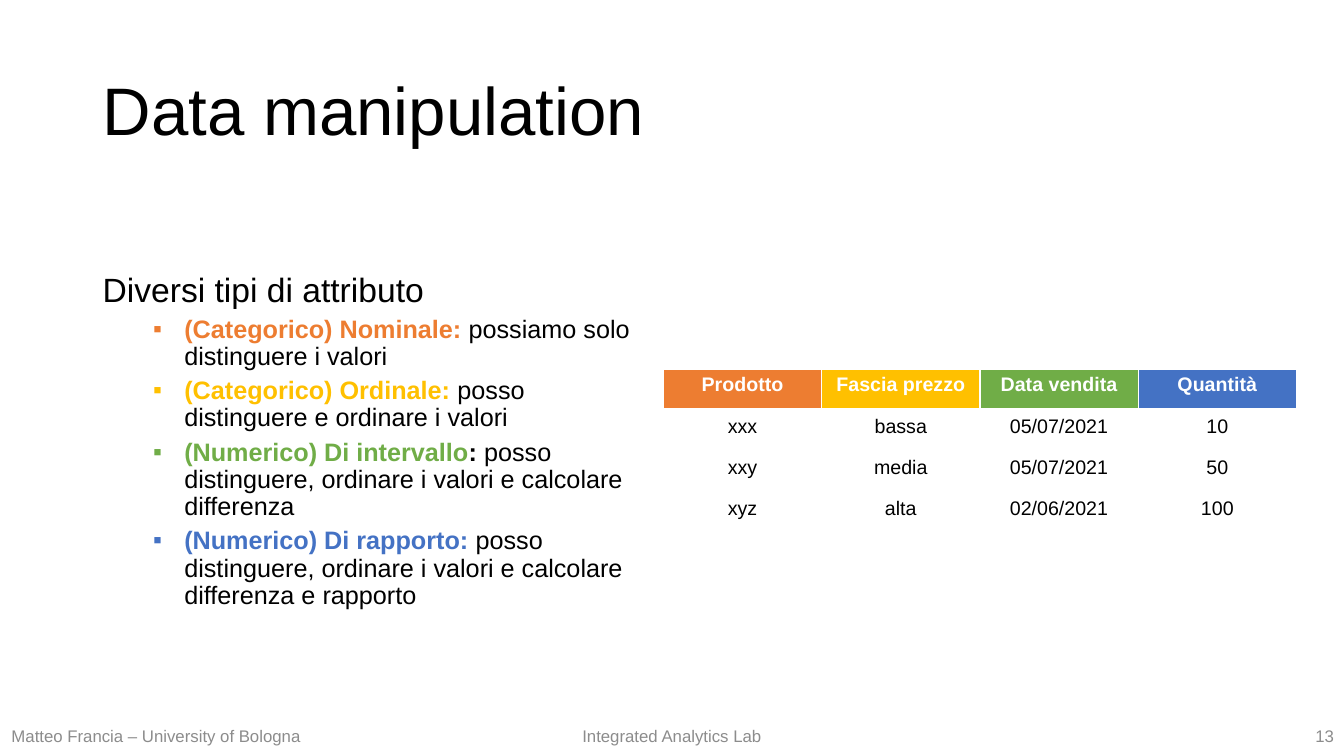
from dataclasses import dataclass

from lxml import etree
from pptx import Presentation
from pptx.dml.color import RGBColor
from pptx.enum.text import MSO_ANCHOR, PP_ALIGN
from pptx.oxml.ns import qn
from pptx.util import Inches, Pt

LEFT, CENTER, RIGHT = PP_ALIGN.LEFT, PP_ALIGN.CENTER, PP_ALIGN.RIGHT
MIDDLE = MSO_ANCHOR.MIDDLE


@dataclass(frozen=True)
class Theme:
    font: str = "Arial"
    text: str = "000000"
    footer: str = "8C8C8C"
    white: str = "FFFFFF"
    nominal: str = "ED7D31"
    ordinal: str = "FFC000"
    interval: str = "70AD47"
    ratio: str = "4472C4"
    title_size: int = 48
    lead_size: int = 24
    bullet_size: int = 18
    table_size: int = 14
    footer_size: int = 12


THEME = Theme()

TITLE = "Data manipulation"
LEAD = "Diversi tipi di attributo"
# Colour, then runs of (text, bold, colour)
ATTRIBUTE_TYPES = [
    (THEME.nominal, [
        ("(Categorico) Nominale: ", True, THEME.nominal),
        ("possiamo solo distinguere i valori", False, THEME.text)]),
    (THEME.ordinal, [
        ("(Categorico) Ordinale: ", True, THEME.ordinal),
        ("posso distinguere e ordinare i valori", False, THEME.text)]),
    (THEME.interval, [
        ("(Numerico) Di intervallo", True, THEME.interval),
        (": ", True, THEME.text),
        ("posso distinguere, ordinare i valori e calcolare differenza", False, THEME.text)]),
    (THEME.ratio, [
        ("(Numerico) Di rapporto: ", True, THEME.ratio),
        ("posso distinguere, ordinare i valori e calcolare differenza e rapporto",
         False, THEME.text)]),
]
SALES = [
    ("Prodotto", "Fascia prezzo", "Data vendita", "Quantità"),
    ("xxx", "bassa", "05/07/2021", "10"),
    ("xxy", "media", "05/07/2021", "50"),
    ("xyz", "alta", "02/06/2021", "100"),
]
# Text, left, width, alignment
FOOTERS = [
    ("Matteo Francia – University of Bologna", 0, 3.1, CENTER),
    ("Integrated Analytics Lab", 5.23, 2.87, CENTER),
    ("13", 10.33, 3, RIGHT),
]
COLUMN_WIDTH, ROW_HEIGHT = 1.57, 0.41


def add_frame(slide, left, top, width, height):
    box = slide.shapes.add_textbox(
        Inches(left), Inches(top), Inches(width), Inches(height))
    frame = box.text_frame
    frame.word_wrap = True
    frame.vertical_anchor = MIDDLE
    return frame


def style(paragraph, size, color=THEME.text, align=LEFT, bold=False):
    paragraph.alignment = align
    paragraph.font.name = THEME.font
    paragraph.font.size = Pt(size)
    paragraph.font.bold = bold
    paragraph.font.color.rgb = RGBColor.from_string(color)


def add_bullet(paragraph, color):
    """Give the paragraph a coloured square bullet with a hanging indent."""
    props = paragraph._p.get_or_add_pPr()
    props.set("lvl", "1")
    props.set("marL", str(Inches(0.81)))
    props.set("indent", str(Inches(-0.31)))
    bullet_color = etree.SubElement(props, qn("a:buClr"))
    etree.SubElement(bullet_color, qn("a:srgbClr"), val=color)
    etree.SubElement(props, qn("a:buFont"), typeface=THEME.font)
    etree.SubElement(props, qn("a:buChar"), char="▪")


def add_borders(cell):
    """Draw white edges, with a heavier one below."""
    props = cell._tc.get_or_add_tcPr()
    edges = [("lnL", 1), ("lnR", 1), ("lnT", 1), ("lnB", 3)]
    for position, (edge, width) in enumerate(edges):
        line = etree.Element(qn(f"a:{edge}"), w=str(Pt(width)))
        fill = etree.SubElement(line, qn("a:solidFill"))
        etree.SubElement(fill, qn("a:srgbClr"), val=THEME.white)
        props.insert(position, line)


def add_attribute_list(slide):
    frame = add_frame(slide, 0.92, 2, 5.67, 4.76)
    lead = frame.paragraphs[0]
    lead.text = LEAD
    lead.line_spacing = 0.9
    lead.space_before = Pt(10)
    style(lead, THEME.lead_size)
    for color, runs in ATTRIBUTE_TYPES:
        item = frame.add_paragraph()
        item.line_spacing = 0.9
        item.space_before = Pt(5)
        add_bullet(item, color)
        style(item, THEME.bullet_size)
        for text, bold, run_color in runs:
            run = item.add_run()
            run.text = text
            run.font.bold = bold
            run.font.color.rgb = RGBColor.from_string(run_color)


def add_sales_table(slide):
    rows, columns = len(SALES), len(SALES[0])
    table = slide.shapes.add_table(
        rows, columns, Inches(6.58), Inches(3.66),
        Inches(columns * COLUMN_WIDTH), Inches(rows * ROW_HEIGHT)).table
    table.first_row = table.horz_banding = False
    for column in table.columns:
        column.width = Inches(COLUMN_WIDTH)
    for row in table.rows:
        row.height = Inches(ROW_HEIGHT)
    for r, record in enumerate(SALES):
        header = r == 0
        for c, value in enumerate(record):
            cell = table.cell(r, c)
            cell.text = value
            style(cell.text_frame.paragraphs[0], THEME.table_size,
                  THEME.white if header else THEME.text, CENTER, header)
            if header:
                cell.fill.solid()
                cell.fill.fore_color.rgb = RGBColor.from_string(ATTRIBUTE_TYPES[c][0])
                add_borders(cell)
            else:
                cell.fill.background()


def main():
    deck = Presentation()
    deck.slide_width, deck.slide_height = Inches(13.33), Inches(7.5)
    slide = deck.slides.add_slide(deck.slide_layouts[6])

    title = add_frame(slide, 0.92, 0.4, 11.5, 1.45).paragraphs[0]
    title.text = TITLE
    title.line_spacing = 0.9
    style(title, THEME.title_size)

    add_attribute_list(slide)
    add_sales_table(slide)
    for text, left, width, align in FOOTERS:
        footer = add_frame(slide, left, 7.1, width, 0.4).paragraphs[0]
        footer.text = text
        style(footer, THEME.footer_size, THEME.footer, align)

    deck.save("out.pptx")


if __name__ == "__main__":
    main()
